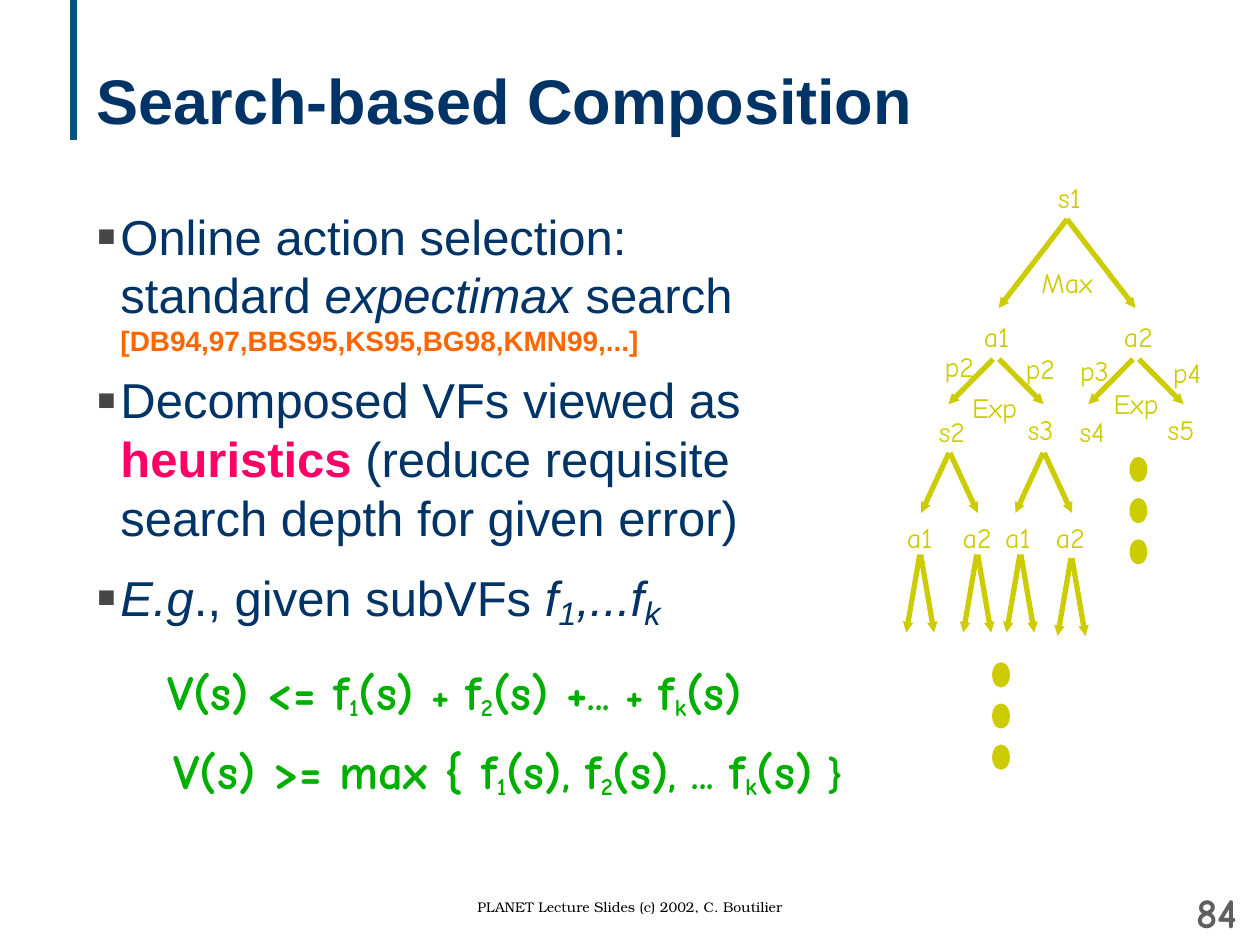
from dataclasses import dataclass

from lxml import etree
from pptx import Presentation
from pptx import util as u
from pptx.dml.color import RGBColor
from pptx.enum import shapes, text
from pptx.oxml import ns


@dataclass(frozen=True)
class Theme:
    navy: str = "003366"
    bar: str = "07547A"
    bullet: str = "474747"
    orange: str = "FF6600"
    pink: str = "FF0066"
    tree: str = "CCCC00"
    green: str = "00AE00"
    grey: str = "5F5F5F"
    black: str = "000000"
    sans: str = "Arial"
    comic: str = "Comic Neue"
    serif: str = "TeX Gyre Bonum"
    title: int = 36
    body: int = 28
    body_sub: int = 32
    formula_small: int = 24
    label: int = 16
    page_number: int = 24
    footer: int = 8


T = Theme()

# Body paragraphs: (space before, [(wording, overrides of the plain style)])
BODY = [
    (0, [("Online action selection: standard ", {}), ("expectimax", {"italic": True}),
         (" search ", {}),
         ("[DB94,97,BBS95,KS95,BG98,KMN99,...]",
          {"size": T.label, "color": T.orange, "bold": True})]),
    (7, [("Decomposed VFs viewed as ", {}),
         ("heuristics ", {"color": T.pink, "bold": True}),
         ("(reduce requisite search depth for given error)", {})]),
    (8, [("E.g", {"italic": True}), ("., given subVFs ", {}), ("f", {"italic": True}),
         ("1", {"size": T.body_sub, "italic": True, "drop": -16}),
         (",...f", {"italic": True}),
         ("k", {"size": T.body_sub, "italic": True, "drop": -16})]),
]

# Formulas: (left, top, width, spans)
SMALL = {"size": T.formula_small}
SUB = {"size": T.formula_small, "drop": -14}
FORMULAS = [
    (3.12, 13.21, 12.5,
     [("V(s) <= f", {}), ("1", SUB), ("(s) ", {}), ("+ ", SMALL), ("f", {}), ("2", SUB),
      ("(s) +", {}), ("... + ", SMALL), ("f", {}), ("k", SUB), ("(s)", {})]),
    (3.25, 14.81, 14.4,
     [("V(s) >= max { f", {}), ("1", SUB), ("(s)", {}), (", ", SMALL), ("f", {}),
      ("2", SUB), ("(s)", {}), (", ... ", SMALL), ("f", {}), ("k", SUB), ("(s)", {}),
      (" }", SMALL)]),
]

# Tree labels: (wording, centre, top) in cm
LABELS = [
    ("s1", 21.56, 3.51), ("Max", 21.51, 5.23),
    ("a1", 20.09, 6.32), ("a2", 22.95, 6.32),
    ("p2", 19.34, 6.93), ("p2", 20.97, 6.96), ("p3", 22.06, 7.01), ("p4", 23.93, 7.04),
    ("Exp", 20.05, 7.75), ("Exp", 22.9, 7.67),
    ("s2", 19.19, 8.23), ("s3", 20.98, 8.2), ("s4", 22.02, 8.23), ("s5", 23.81, 8.2),
    ("a1", 18.54, 10.36), ("a2", 19.7, 10.36), ("a1", 20.52, 10.36), ("a2", 21.58, 10.36),
]
LABEL_WIDTHS = {"Exp": 1.6, "Max": 1.75}

# Pairs of branches: (centre, top, half gap at top, half spread, drop) in cm
FORKS = [(21.51, 4.42, 0, 1.38, 1.79)]
FORKS += [(x, 7.24, 0.06, 0.96, 0.91) for x in (20.08, 22.9)]
FORKS += [(x, 9.13, 0.01, 0.57, 1.21) for x in (19.14, 21.04)]
FORKS += [(x, y, 0.01, 0.28, 1.57)
          for x, y in ((18.55, 11.18), (19.7, 11.18), (20.57, 11.18), (21.6, 11.25))]


def style(font, size, color, face, bold=False, italic=False):
    font.size, font.name = u.Pt(size), face
    font.bold, font.italic = bold, italic
    font.color.rgb = RGBColor.from_string(color)


def add_spans(para, spans, **base):
    for wording, changes in spans:
        look = {**base, **changes}
        drop = look.pop("drop", 0)
        span = para.add_run()
        span.text = wording
        style(span.font, **look)
        if drop:
            span.font._element.set("baseline", str(drop * 1000))


def add_box(page, left, top, width, height, wrap=True):
    box = page.shapes.add_textbox(u.Cm(left), u.Cm(top), u.Cm(width), u.Cm(height))
    box.text_frame.word_wrap = wrap
    if not wrap:
        box.text_frame.auto_size = text.MSO_AUTO_SIZE.SHAPE_TO_FIT_TEXT
    return box.text_frame


def add_line(page, x1, y1, x2, y2, color, width, arrow=False):
    line = page.shapes.add_connector(
        shapes.MSO_CONNECTOR.STRAIGHT, u.Cm(x1), u.Cm(y1), u.Cm(x2), u.Cm(y2))
    line.line.color.rgb = RGBColor.from_string(color)
    line.line.width = u.Pt(width)
    if arrow:
        etree.SubElement(line.line._get_or_add_ln(), ns.qn("a:tailEnd"),
                         type="triangle", w="sm", len="sm")
    etree.SubElement(line._element.spPr, ns.qn("a:effectLst"))


def add_dots(page, left, top):
    for row in range(3):
        dot = page.shapes.add_shape(shapes.MSO_SHAPE.OVAL, u.Cm(left),
                                    u.Cm(top + 0.83 * row), u.Cm(0.28), u.Cm(0.43))
        dot.shadow.inherit = False
        dot.fill.solid()
        dot.fill.fore_color.rgb = RGBColor.from_string(T.tree)
        dot.line.color.rgb = RGBColor.from_string(T.tree)
        dot.line.width = u.Pt(2.25)


def set_bullet(para):
    props = para._p.get_or_add_pPr()
    props.set("marL", str(u.Cm(0.48)))
    props.set("indent", str(-u.Cm(0.48)))
    color = etree.SubElement(props, ns.qn("a:buClr"))
    etree.SubElement(color, ns.qn("a:srgbClr"), val=T.bullet)
    etree.SubElement(props, ns.qn("a:buSzPct"), val="120000")
    etree.SubElement(props, ns.qn("a:buFont"), typeface=T.sans)
    etree.SubElement(props, ns.qn("a:buChar"), char="▪")


def add_title(page, wording):
    title = page.shapes.title
    title.left, title.top = u.Cm(1.7), u.Cm(0.42)
    title.width, title.height = u.Cm(22.66), u.Cm(3.18)
    frame = title.text_frame
    frame.text = wording
    frame.auto_size = text.MSO_AUTO_SIZE.NONE
    frame.vertical_anchor = text.MSO_ANCHOR.MIDDLE
    frame.paragraphs[0].alignment = text.PP_ALIGN.LEFT
    style(frame.paragraphs[0].font, T.title, T.navy, T.sans, bold=True)


def add_body(page):
    frame = add_box(page, 1.7, 4.03, 14.58, 13.26)
    for number, (space, spans) in enumerate(BODY):
        para = frame.add_paragraph() if number else frame.paragraphs[0]
        para.space_before = u.Pt(space)
        set_bullet(para)
        add_spans(para, spans, size=T.body, color=T.navy, face=T.sans)


def add_note(page, wording, place, size, color, face, align, bold=False, wrap=True):
    frame = add_box(page, *place, wrap=wrap)
    para = frame.paragraphs[0]
    para.text = wording
    para.alignment = align
    style(para.font, size, color, face, bold)
    return frame


def add_tree(page):
    for x, y, gap, spread, drop in FORKS:
        for side in (-1, 1):
            add_line(page, x + side * gap, y, x + side * spread, y + drop,
                     T.tree, 3, arrow=True)
    for wording, centre, top in LABELS:
        width = LABEL_WIDTHS.get(wording, 1.25)
        add_note(page, wording, (centre - width / 2, top, width, 0.94),
                 T.label, T.tree, T.comic, text.PP_ALIGN.CENTER, wrap=False)
    add_dots(page, 22.81, 9.25)
    add_dots(page, 20.04, 13.39)


def main():
    deck = Presentation()
    deck.slide_width, deck.slide_height = u.Cm(25.4), u.Cm(19.05)
    page = deck.slides.add_slide(deck.slide_layouts[5])

    # Heading with its bar, and the main points
    add_line(page, 1.48, 0, 1.48, 2.82, T.bar, 4)
    add_title(page, "Search-based Composition")
    add_body(page)

    # Search tree
    add_tree(page)

    # Bounds on the value function
    for left, top, width, spans in FORMULAS:
        frame = add_box(page, left, top, width, 1.47, wrap=False)
        add_spans(frame.paragraphs[0], spans, size=T.body, color=T.green,
                  face=T.comic, bold=True)

    # Footer and page number
    add_note(page, "PLANET Lecture Slides (c) 2002, C. Boutilier",
             (6.99, 17.98, 11.43, 0.64), T.footer, T.black, T.serif,
             text.PP_ALIGN.CENTER)
    number = add_note(page, "84", (23.37, 17.86, 1.83, 1.02), T.page_number, T.grey,
                      T.comic, text.PP_ALIGN.RIGHT, bold=True)
    number.vertical_anchor = text.MSO_ANCHOR.MIDDLE

    deck.save("out.pptx")


if __name__ == "__main__":
    main()
